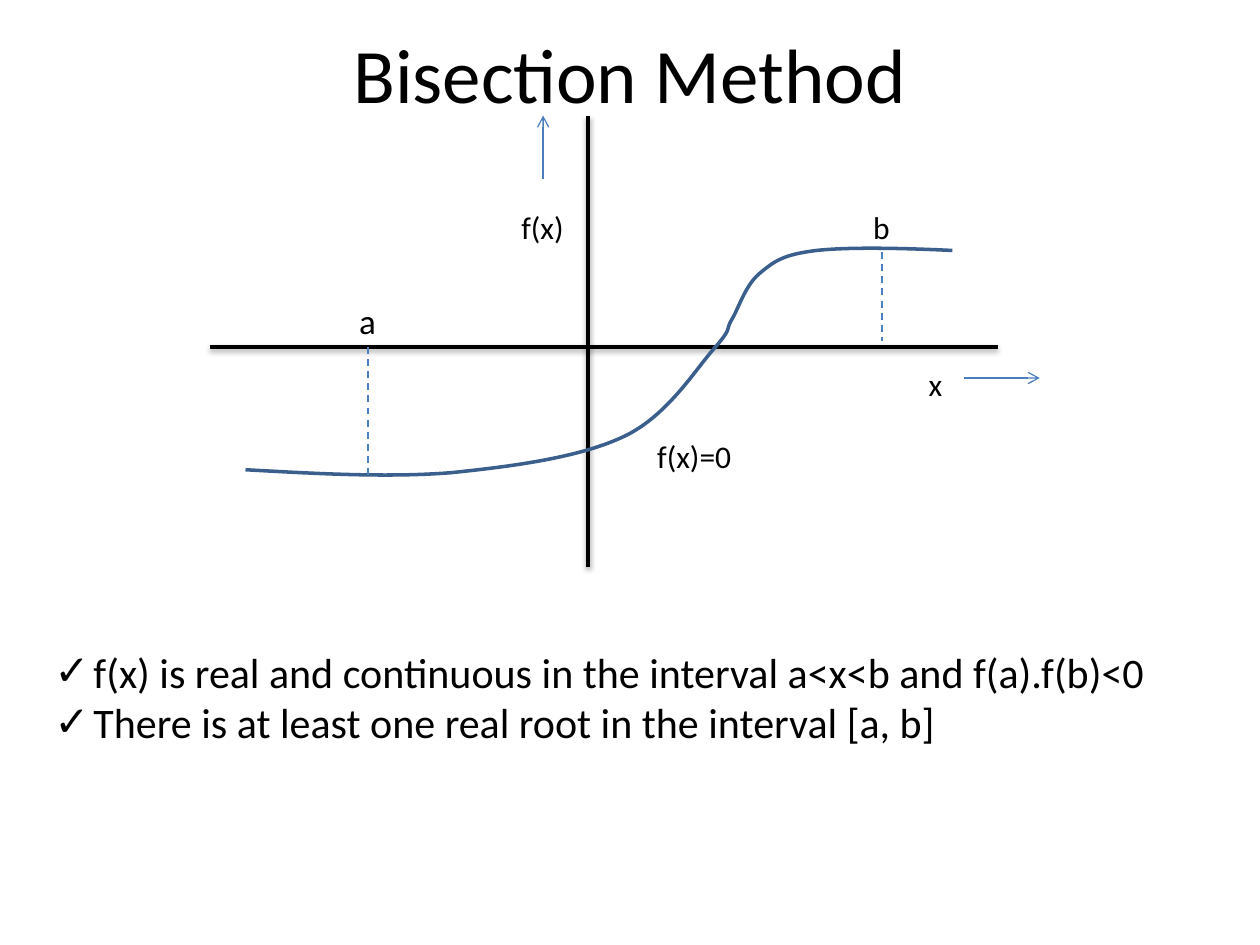
from lxml import etree
from pptx import Presentation
from pptx.dml.color import RGBColor
from pptx.enum.dml import MSO_LINE
from pptx.enum.shapes import MSO_CONNECTOR
from pptx.enum.text import MSO_ANCHOR, MSO_AUTO_SIZE, PP_ALIGN
from pptx.oxml.ns import qn
from pptx.util import Cm, Pt

COLORS = {"ink": "000000", "curve": "3A5F8C", "guide": "4B7EBC"}
FONT = "Calibri"

# Places in the diagram, in cm
X_AXIS_Y, Y_AXIS_X = 6.99, 11.85
A_X, B_X = 7.42, 17.78
CURVE = [  # start, then three Bezier points for each segment
    (4.95, 9.47),
    (6.38, 9.55), (7.82, 9.63), (9.09, 9.53),
    (10.36, 9.40), (11.71, 9.22), (12.60, 8.79),
    (13.49, 8.36), (14.07, 7.37), (14.43, 6.99),
    (14.78, 6.58), (14.61, 6.68), (14.76, 6.43),
    (14.91, 6.17), (15.04, 5.72), (15.34, 5.49),
    (15.62, 5.26), (15.80, 5.13), (16.46, 5.05),
    (17.09, 4.98), (18.16, 5.00), (19.20, 5.05),
]
LABELS = [  # text, left, top, width, height, size
    ("f(x)", 10.26, 4.06, 1.37, 1.02, 18),
    ("x", 18.47, 7.24, 0.79, 1.02, 18),
    ("f(x)=0", 13.0, 8.69, 2.03, 1.02, 18),
    ("a", 6.99, 5.92, 0.86, 1.11, 20),
    ("b", 17.35, 4.06, 0.86, 1.02, 18),
]
CONDITIONS = [
    "f(x) is real and continuous in the interval a<x<b and f(a).f(b)<0",
    "There is at least one real root in the interval [a, b]",
]


def write(paragraph, text, size=18, color="ink", align=PP_ALIGN.LEFT):
    paragraph.alignment = align
    run = paragraph.add_run()
    run.text = text
    run.font.name = FONT
    run.font.size = Pt(size)
    run.font.color.rgb = RGBColor.from_string(COLORS[color])


def place(shape, left, top, width, height):
    shape.left, shape.top = Cm(left), Cm(top)
    shape.width, shape.height = Cm(width), Cm(height)


def child(parent, tag, **attributes):
    return etree.SubElement(parent, qn(tag), attributes)


class DiagramSlide:
    def __init__(self, slide):
        self.slide = slide
        self.shapes = slide.shapes

    def title(self, text, *box):
        heading = self.shapes.title
        place(heading, *box)
        heading.text_frame.vertical_anchor = MSO_ANCHOR.MIDDLE
        write(heading.text_frame.paragraphs[0], text, size=44, align=PP_ALIGN.CENTER)

    def checklist(self, items, *box):
        body = self.slide.placeholders[1]
        place(body, *box)
        frame = body.text_frame
        frame.auto_size = MSO_AUTO_SIZE.SHAPE_TO_FIT_TEXT
        for index, item in enumerate(items):
            paragraph = frame.add_paragraph() if index else frame.paragraphs[0]
            write(paragraph, item, size=24)
            paragraph.space_before = Pt(0)
            properties = paragraph._p.get_or_add_pPr()
            properties.set("marL", str(Cm(0.79)))
            properties.set("indent", str(-Cm(0.79)))
            child(properties, "a:buFont", typeface=FONT)
            child(properties, "a:buChar", char="✓")

    def label(self, text, left, top, width, height, size):
        box = self.shapes.add_textbox(Cm(left), Cm(top), Cm(width), Cm(height))
        box.text_frame.word_wrap = False
        box.text_frame.auto_size = MSO_AUTO_SIZE.SHAPE_TO_FIT_TEXT
        write(box.text_frame.paragraphs[0], text, size=size)

    def line(self, start, end, color="guide", width=1.0, dash=None):
        """Draw a straight line and return it with its empty effect list."""
        connector = self.shapes.add_connector(
            MSO_CONNECTOR.STRAIGHT, *map(Cm, start), *map(Cm, end))
        connector.line.color.rgb = RGBColor.from_string(COLORS[color])
        connector.line.width = Pt(width)
        if dash:
            connector.line.dash_style = dash
        return connector, child(connector._element.spPr, "a:effectLst")

    def axis(self, start, end):
        effects = self.line(start, end, color="ink", width=2)[1]
        shadow = child(effects, "a:outerShdw", blurRad=str(Pt(3.1)), dist=str(Pt(1.6)),
                       dir="5400000", rotWithShape="0")
        tint = child(shadow, "a:srgbClr", val=COLORS["ink"])
        child(tint, "a:alpha", val="38000")

    def arrow(self, start, end):
        connector = self.line(start, end, width=0.75)[0]
        child(connector.line._get_or_add_ln(), "a:tailEnd", type="arrow")

    def guide(self, start, end):
        self.line(start, end, dash=MSO_LINE.DASH)

    def curve(self, points):
        """Build a freeform, then turn each three line steps into one Bezier."""
        vertices = [(Cm(x), Cm(y)) for x, y in points]
        builder = self.shapes.build_freeform(*vertices[0])
        builder.add_line_segments(vertices[1:], close=False)
        graph = builder.convert_to_shape()
        graph.shadow.inherit = False
        graph.fill.background()
        graph.line.color.rgb = RGBColor.from_string(COLORS["curve"])
        graph.line.width = Pt(2)
        outline = next(graph._element.iter(qn("a:path")))
        steps = outline.findall(qn("a:lnTo"))
        for first in range(0, len(steps), 3):
            bezier = child(outline, "a:cubicBezTo")
            for step in steps[first:first + 3]:
                bezier.append(step[0])
                outline.remove(step)


def main():
    deck = Presentation()
    deck.slide_width, deck.slide_height = Cm(25.4), Cm(19.05)
    page = DiagramSlide(deck.slides.add_slide(deck.slide_layouts[1]))

    page.title("Bisection Method", 1.27, 0.2, 22.86, 2.54)
    page.axis((4.23, X_AXIS_Y), (20.11, X_AXIS_Y))
    page.axis((Y_AXIS_X, 2.33), (Y_AXIS_X, 11.43))
    page.curve(CURVE)
    page.arrow((19.43, 7.62), (20.96, 7.62))
    page.arrow((10.95, 3.6), (10.95, 2.33))
    page.guide((A_X, X_AXIS_Y), (A_X, 9.57))
    page.guide((B_X, 5.08), (B_X, 6.88))
    for label in LABELS:
        page.label(*label)
    page.checklist(CONDITIONS, 0.84, 12.9, 23.29, 2.31)

    deck.save("out.pptx")


if __name__ == "__main__":
    main()
